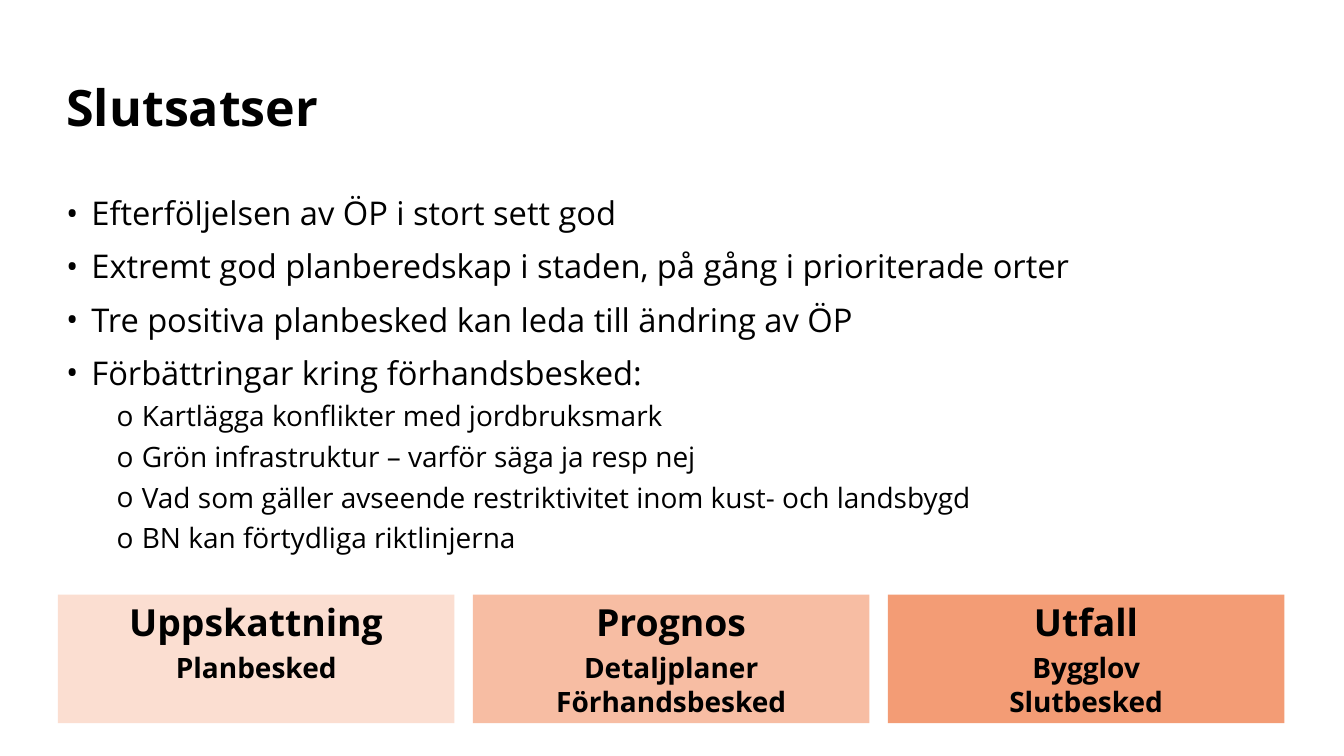
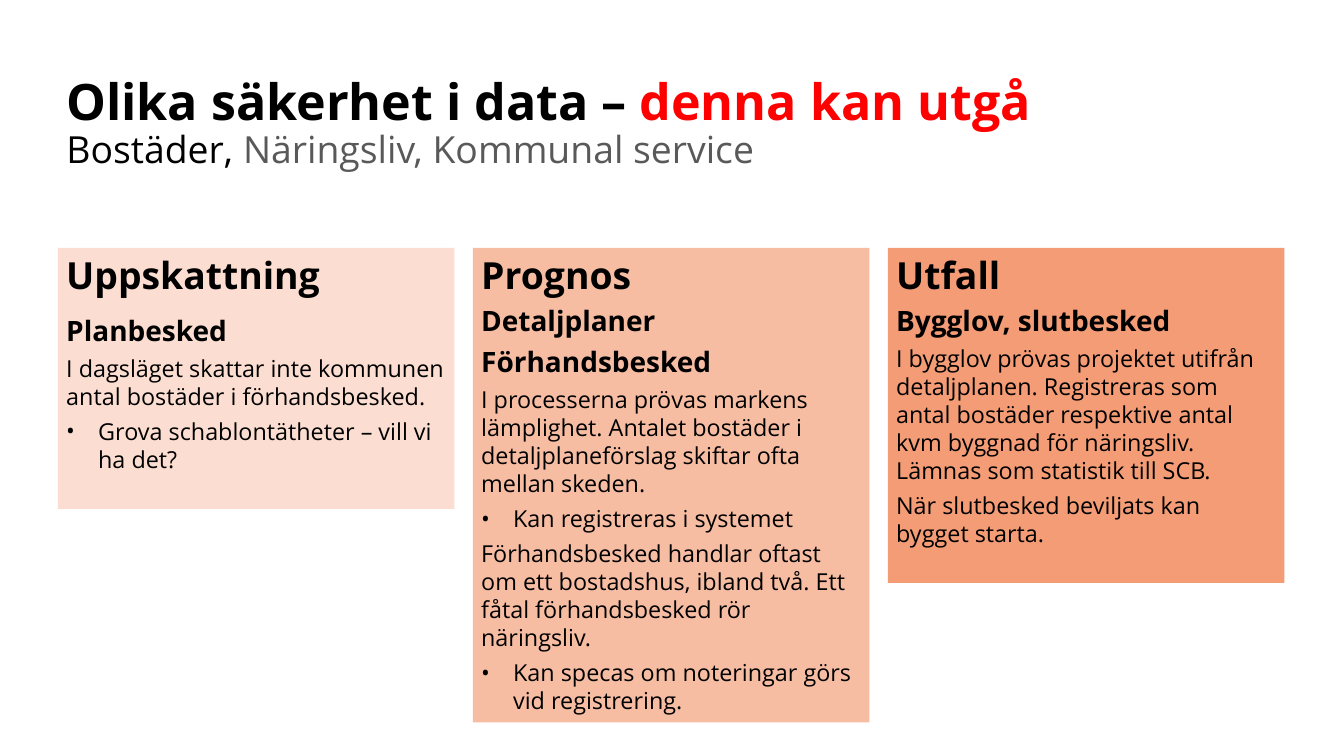
from dataclasses import dataclass

from lxml.etree import SubElement
from pptx import Presentation
from pptx.dml.color import RGBColor
from pptx.enum.shapes import MSO_SHAPE as Shape
from pptx.enum.text import MSO_ANCHOR as Anchor, MSO_AUTO_SIZE as AutoSize, PP_ALIGN as Align
from pptx.oxml.ns import qn
from pptx.slide import Slide
from pptx.text.text import TextFrame
from pptx.util import Emu, Pt

PX = 9144  # EMU per px, 100 px to the inch


@dataclass(frozen=True)
class Theme:
    font: str = "Open Sans"
    ink: str = "000000"
    muted: str = "595959"
    alert: str = "FF0000"
    card_fills: tuple[str, ...] = ("FBDED1", "F7BDA3", "F39C75")
    title: int = 43
    heading: int = 32
    bullet: int = 28
    subheading: int = 24
    body: int = 20


THEME = Theme()


@dataclass(frozen=True)
class Run:
    text: str
    size: int
    bold: bool = False
    color: str = THEME.ink


@dataclass(frozen=True)
class Para:
    runs: tuple[Run, ...]
    before: int = 0
    after: int = 0
    mark: str = ""
    margin: int = 0
    hang: int = 0


@dataclass(frozen=True)
class Card:
    height: int
    paras: tuple[Para, ...]


def px(length: int) -> Emu:
    return Emu(length * PX)


def write(frame: TextFrame, paras: list[Para], *, align: Align = Align.LEFT,
          anchor: Anchor = Anchor.TOP, line_spacing: float = 1.0) -> None:
    frame.word_wrap = True
    frame.auto_size = AutoSize.NONE
    frame.vertical_anchor = anchor
    for index, para in enumerate(paras):
        paragraph = frame.add_paragraph() if index else frame.paragraphs[0]
        paragraph.alignment = align
        paragraph.line_spacing = line_spacing
        paragraph.space_before = Pt(para.before if index else 0)
        paragraph.space_after = Pt(para.after)
        if para.mark:
            props = paragraph._p.get_or_add_pPr()
            props.set("marL", str(px(para.margin)))
            props.set("indent", str(-px(para.hang)))
            SubElement(props, qn("a:buFont")).set("typeface", THEME.font)
            SubElement(props, qn("a:buChar")).set("char", para.mark)
        for part in para.runs:
            # A line feed in the text becomes a line break
            for number, line in enumerate(part.text.split("\n")):
                if number:
                    paragraph.add_line_break()
                if not line:
                    continue
                run = paragraph.add_run()
                run.text = line
                run.font.name = THEME.font
                run.font.size = Pt(part.size)
                run.font.bold = part.bold
                run.font.color.rgb = RGBColor.from_string(part.color)


# Paragraph styles
def point(text: str) -> Para:
    return Para((Run(text, THEME.bullet),), before=12, mark="•", margin=30, hang=30)


def subpoint(text: str) -> Para:
    return Para((Run(text, THEME.subheading),), before=6, mark="o", margin=90, hang=30)


def heading(text: str) -> Para:
    return Para((Run(text, THEME.heading, True),), after=6)


def subheading(text: str, before: int = 0) -> Para:
    return Para((Run(text, THEME.subheading, True),), before=before, after=6)


def body(text: str) -> Para:
    return Para((Run(text, THEME.body),), after=6)


def body_point(text: str) -> Para:
    return Para((Run(text, THEME.body),), after=6, mark="•", margin=38, hang=38)


# Shared slide parts
LEFT = 69
CARD_WIDTH, CARD_STEP = 472, 494


def add_titled_slide(deck: Presentation, runs: tuple[Run, ...], width: int, height: int) -> Slide:
    slide = deck.slides.add_slide(deck.slide_layouts[5])
    title = slide.shapes.title
    title.left, title.top, title.width, title.height = map(px, (LEFT, 61, width, height))
    write(title.text_frame, [Para(runs)], anchor=Anchor.MIDDLE, line_spacing=0.9)
    return slide


def add_cards(slide: Slide, top: int, cards: list[Card], align: Align) -> None:
    for column, (card, fill) in enumerate(zip(cards, THEME.card_fills)):
        panel = slide.shapes.add_shape(Shape.RECTANGLE, px(LEFT + column * CARD_STEP), px(top),
                                       px(CARD_WIDTH), px(card.height))
        panel.shadow.inherit = False
        panel.fill.solid()
        panel.fill.fore_color.rgb = RGBColor.from_string(fill)
        panel.line.fill.background()
        write(panel.text_frame, card.paras, align=align)


def build_conclusions(deck: Presentation) -> None:
    slide = add_titled_slide(deck, (Run("Slutsatser", THEME.title, True),), 1308, 141)
    conclusions = slide.shapes.add_textbox(px(LEFT), px(225), px(1461), px(470))
    write(conclusions.text_frame, [
        point("Efterföljelsen av ÖP i stort sett god"),
        point("Extremt god planberedskap i staden, på gång i prioriterade orter"),
        point("Tre positiva planbesked kan leda till ändring av ÖP"),
        point("Förbättringar kring förhandsbesked:"),
        subpoint("Kartlägga konflikter med jordbruksmark"),
        subpoint("Grön infrastruktur – varför säga ja resp nej"),
        subpoint("Vad som gäller avseende restriktivitet inom kust- och landsbygd"),
        subpoint("BN kan förtydliga riktlinjerna"),
    ])
    stages = (("Uppskattning", "Planbesked"),
              ("Prognos", "Detaljplaner Förhandsbesked"),
              ("Utfall", "Bygglov\nSlutbesked"))
    add_cards(slide, 708, [Card(153, (heading(stage), subheading(basis))) for stage, basis in stages],
              Align.CENTER)


def build_certainty(deck: Presentation) -> None:
    slide = add_titled_slide(deck, (
        Run("Olika säkerhet i data – ", THEME.title, True),
        Run("denna kan utgå\n", THEME.title, True, THEME.alert),
        Run("Bostäder, ", THEME.heading),
        Run("Näringsliv, Kommunal service", THEME.heading, color=THEME.muted),
    ), 1331, 174)
    add_cards(slide, 295, [
        Card(311, (
            heading("Uppskattning"),
            subheading("Planbesked", before=8),
            body("I dagsläget skattar inte kommunen antal bostäder i förhandsbesked."),
            body_point("Grova schablontätheter – vill vi ha det?"),
        )),
        Card(565, (
            heading("Prognos"),
            subheading("Detaljplaner"),
            subheading("Förhandsbesked"),
            body("I processerna prövas markens lämplighet. Antalet bostäder i "
                 "detaljplaneförslag skiftar ofta mellan skeden."),
            body_point("Kan registreras i systemet"),
            body("Förhandsbesked handlar oftast om ett bostadshus, ibland två. "
                 "Ett fåtal förhandsbesked rör näringsliv."),
            body_point("Kan specas om noteringar görs vid registrering."),
        )),
        Card(399, (
            heading("Utfall"),
            subheading("Bygglov, slutbesked"),
            body("I bygglov prövas projektet utifrån detaljplanen. Registreras som antal "
                 "bostäder respektive antal kvm byggnad för näringsliv. "
                 "Lämnas som statistik till SCB."),
            body("När slutbesked beviljats kan bygget starta."),
        )),
    ], Align.LEFT)


def main() -> None:
    deck = Presentation()
    deck.slide_width, deck.slide_height = px(1600), px(900)
    build_conclusions(deck)
    build_certainty(deck)
    deck.save("out.pptx")


if __name__ == "__main__":
    main()
